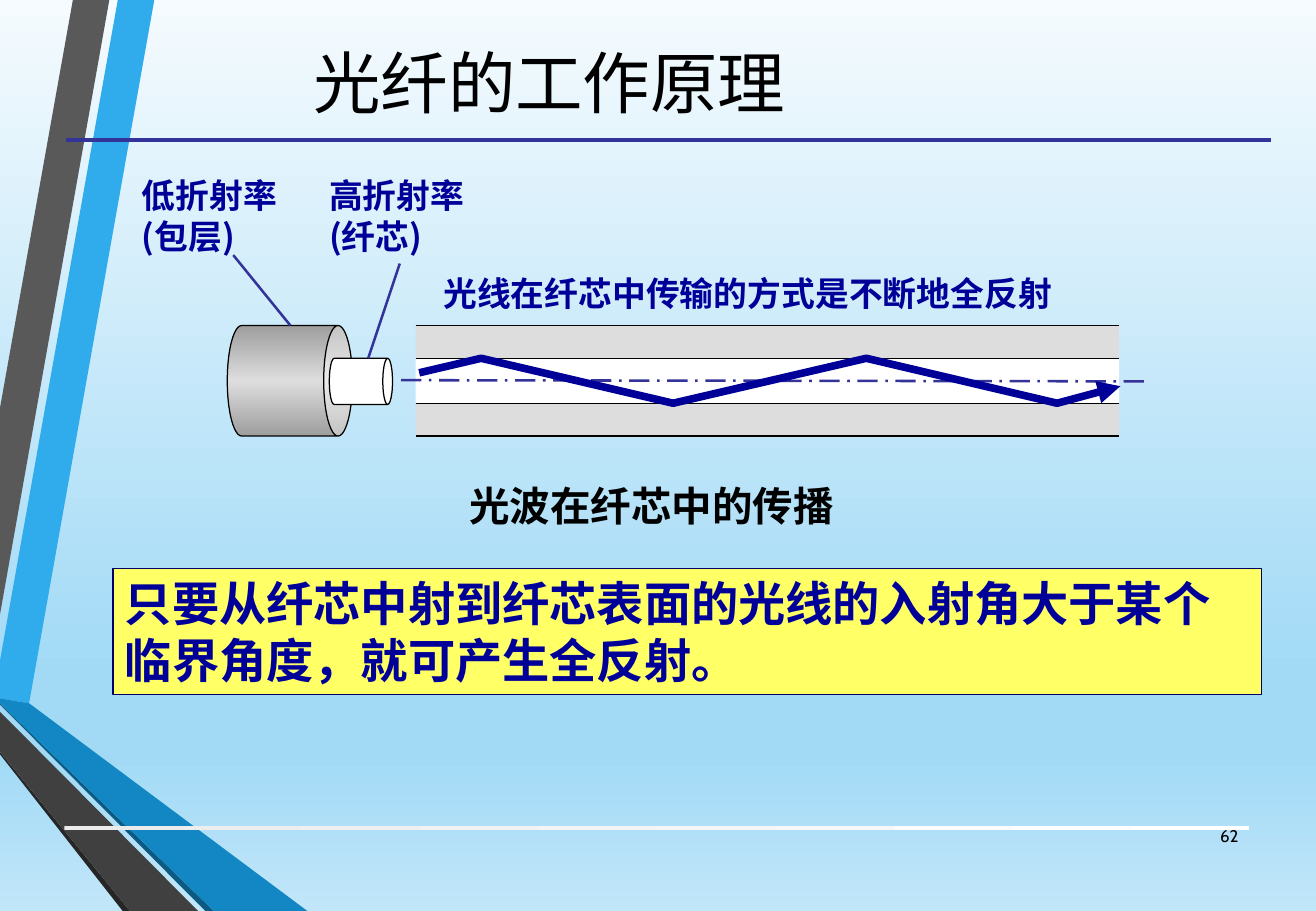
from lxml.etree import SubElement
from pptx import Presentation
from pptx.dml.color import RGBColor
from pptx.enum.dml import MSO_LINE
from pptx.enum.shapes import MSO_CONNECTOR, MSO_SHAPE
from pptx.enum.text import MSO_ANCHOR, PP_ALIGN
from pptx.oxml.ns import qn
from pptx.util import Pt

PX = 9144
LATIN_FONT = "Cabin"
CHINESE_FONT = "Noto Sans CJK SC"

BLACK = RGBColor(0x00, 0x00, 0x00)
WHITE = RGBColor(0xFF, 0xFF, 0xFF)
NAVY = RGBColor(0x00, 0x00, 0x99)
DARK_NAVY = RGBColor(0x00, 0x00, 0x66)
INDIGO = RGBColor(0x33, 0x33, 0x99)
YELLOW = RGBColor(0xFF, 0xFF, 0x66)
CLADDING_GRAY = RGBColor(0xDD, 0xDD, 0xDD)
EDGE_GRAY = RGBColor(0x9E, 0x9E, 0x9E)
RULE_GRAY = RGBColor(0xEB, 0xEB, 0xEB)
SKY_TOP = RGBColor(0xF5, 0xFB, 0xFE)
SKY_MIDDLE = RGBColor(0xA2, 0xDA, 0xF6)
SKY_BOTTOM = RGBColor(0xC1, 0xE6, 0xF9)
RIBBON_BLUE = RGBColor(0x30, 0xAC, 0xEC)
RIBBON_GRAY = RGBColor(0x59, 0x59, 0x59)
FOLD_BLUE = RGBColor(0x12, 0x87, 0xC3)
FOLD_GRAY = RGBColor(0x40, 0x40, 0x40)
EDGE_BLUE = RGBColor(0x0C, 0x5A, 0x82)
EDGE_BLACK = RGBColor(0x26, 0x26, 0x26)

RIBBONS = [
    (RIBBON_BLUE, [(0, 544), (0, 575), (24, 579), (127, 0), (97, 0)]),
    (RIBBON_GRAY, [(90, 0), (60, 0), (0, 336), (0, 506)]),
    (EDGE_BLACK, [(0, 619), (0, 621), (101, 750), (107, 750)]),
    (EDGE_BLUE, [(0, 579), (0, 580), (169, 750), (176, 750)]),
    (FOLD_BLUE, [(0, 579), (176, 750), (253, 750), (24, 579), (0, 575)]),
    (FOLD_GRAY, [(0, 619), (107, 750), (163, 750), (0, 586)]),
]
FIBER_LEFT, FIBER_RIGHT = 342, 921
FIBER_EDGES = [268, 295, 332, 359]
LAYER_COLORS = [CLADDING_GRAY, WHITE, CLADDING_GRAY]
RAY = [(345, 307), (396, 295), (554, 332), (713, 295), (870, 332), (922, 318)]
LABEL = {"size": Pt(20), "bold": True, "color": NAVY, "name": CHINESE_FONT}


def set_gradient(fill, holder, stops, angle):
    """Fill with a linear gradient of (percent, color) stops."""
    fill.gradient()
    fill.gradient_angle = angle
    stop_list = next(holder.iter(qn("a:gsLst")))
    for old_stop in list(stop_list):
        stop_list.remove(old_stop)
    for percent, color in stops:
        stop = SubElement(stop_list, qn("a:gs"), pos=str(percent * 1000))
        SubElement(stop, qn("a:srgbClr"), val=str(color))


def style_shape(shape, fill_color=None, line_color=None, line_width=0.75):
    """Give a shape a flat fill and outline, or none, without shadow."""
    shape.shadow.inherit = False
    for fill, color in ((shape.fill, fill_color), (shape.line.fill, line_color)):
        if color is None:
            fill.background()
        else:
            fill.solid()
            fill.fore_color.rgb = color
    if line_color is not None:
        shape.line.width = Pt(line_width)


def add_block(slide, kind, box, fill_color=None, line_color=None):
    """Add a preset shape at a pixel box."""
    shape = slide.shapes.add_shape(kind, *(value * PX for value in box))
    style_shape(shape, fill_color, line_color)
    return shape


def add_outline(slide, points, closed):
    """Add a freeform through pixel points."""
    builder = slide.shapes.build_freeform(*points[0], scale=PX)
    builder.add_line_segments(points[1:], close=closed)
    return builder.convert_to_shape()


def add_line(slide, start, end, color=INDIGO, width=1.5):
    """Add a straight connector between two pixel points."""
    line = slide.shapes.add_connector(
        MSO_CONNECTOR.STRAIGHT, *(value * PX for value in start + end))
    line.line.color.rgb = color
    line.line.width = Pt(width)
    SubElement(line._element.spPr, qn("a:effectLst"))
    return line


def write_text(shape, lines, text_format, align=PP_ALIGN.LEFT,
               anchor=MSO_ANCHOR.TOP, wrap=True):
    """Write formatted paragraphs into a shape."""
    frame = shape.text_frame
    frame.word_wrap = wrap
    frame.vertical_anchor = anchor
    frame.text = "\n".join(lines)
    for paragraph in frame.paragraphs:
        paragraph.alignment = align
        font = paragraph.runs[0].font
        for attribute, value in text_format.items():
            if attribute == "color":
                font.color.rgb = value
            else:
                setattr(font, attribute, value)
        SubElement(font._element, qn("a:ea"), typeface=CHINESE_FONT)


def add_text(slide, box, lines, text_format, **layout):
    """Add a text box at a pixel box."""
    text_box = slide.shapes.add_textbox(*(value * PX for value in box))
    write_text(text_box, lines, text_format, **layout)


def draw_backdrop(slide):
    """Draw the sky gradient, ribbons and rules."""
    sky = [(0, SKY_TOP), (74, SKY_MIDDLE), (83, SKY_MIDDLE), (100, SKY_BOTTOM)]
    set_gradient(slide.background.fill, slide._element, sky, 270)
    for color, points in RIBBONS:
        style_shape(add_outline(slide, points, True), color)
    rule = add_block(slide, MSO_SHAPE.RECTANGLE, (53, 680, 975, 3))
    set_gradient(rule.fill, rule._element, [(0, RULE_GRAY), (100, WHITE)], 0)
    add_line(slide, (54, 115), (1046, 115), width=2.25)


def draw_fiber(slide):
    """Draw the cable end, the fiber section and the reflected ray."""
    for top, bottom, color in zip(FIBER_EDGES, FIBER_EDGES[1:], LAYER_COLORS):
        box = (FIBER_LEFT, top, FIBER_RIGHT - FIBER_LEFT, bottom - top)
        add_block(slide, MSO_SHAPE.RECTANGLE, box, color)
    cladding = add_block(slide, MSO_SHAPE.CAN, (193, 262, 91, 103), None, BLACK)
    set_gradient(cladding.fill, cladding._element,
                 [(0, EDGE_GRAY), (50, CLADDING_GRAY), (100, EDGE_GRAY)], 0)
    core = add_block(slide, MSO_SHAPE.CAN, (278, 288, 38, 52), WHITE, BLACK)
    for cylinder, adjustment in ((cladding, 0.26), (core, 0.21)):
        cylinder.rotation = 90
        cylinder.adjustments[0] = adjustment
    for edge in FIBER_EDGES:
        add_line(slide, (FIBER_LEFT, edge), (FIBER_RIGHT, edge), BLACK, 0.75)
    axis = add_line(slide, (330, 313), (943, 314))
    axis.line.dash_style = MSO_LINE.LONG_DASH_DOT
    add_line(slide, (329, 217), (303, 295))
    add_line(slide, (192, 210), (239, 268))
    ray = add_outline(slide, RAY, False)
    style_shape(ray, None, NAVY, 4.5)
    SubElement(ray.line._get_or_add_ln(), qn("a:tailEnd"), type="triangle")


def main():
    """Build the slide on how optical fiber works."""
    presentation = Presentation()
    presentation.slide_width = 1083 * PX
    presentation.slide_height = 750 * PX
    slide = presentation.slides.add_slide(presentation.slide_layouts[6])
    draw_backdrop(slide)
    plain = {"color": BLACK, "name": LATIN_FONT}
    add_text(slide, (43, 5, 818, 124), ["光纤的工作原理"], plain | {"size": Pt(40)},
             align=PP_ALIGN.CENTER, anchor=MSO_ANCHOR.MIDDLE)
    draw_fiber(slide)
    add_text(slide, (261, 139, 133, 77), ["高折射率", "(纤芯)"], LABEL, wrap=False)
    add_text(slide, (107, 139, 133, 77), ["低折射率", "(包层)"], LABEL, wrap=False)
    add_text(slide, (355, 220, 528, 44),
             ["光线在纤芯中传输的方式是不断地全反射"], LABEL, wrap=False)
    add_text(slide, (235, 391, 602, 50), ["光波在纤芯中的传播"],
             plain | {"size": Pt(24), "bold": True}, align=PP_ALIGN.CENTER)
    conclusion = add_block(slide, MSO_SHAPE.RECTANGLE, (93, 468, 945, 104),
                           YELLOW, DARK_NAVY)
    write_text(conclusion,
               ["只要从纤芯中射到纤芯表面的光线的入射角大于某个临界角度，就可产生全反射。"],
               {"size": Pt(28), "bold": True, "color": NAVY, "name": LATIN_FONT})
    add_text(slide, (978, 668, 51, 40), ["62"], plain | {"size": Pt(10)},
             align=PP_ALIGN.RIGHT, anchor=MSO_ANCHOR.MIDDLE)
    presentation.save("out.pptx")


if __name__ == "__main__":
    main()
